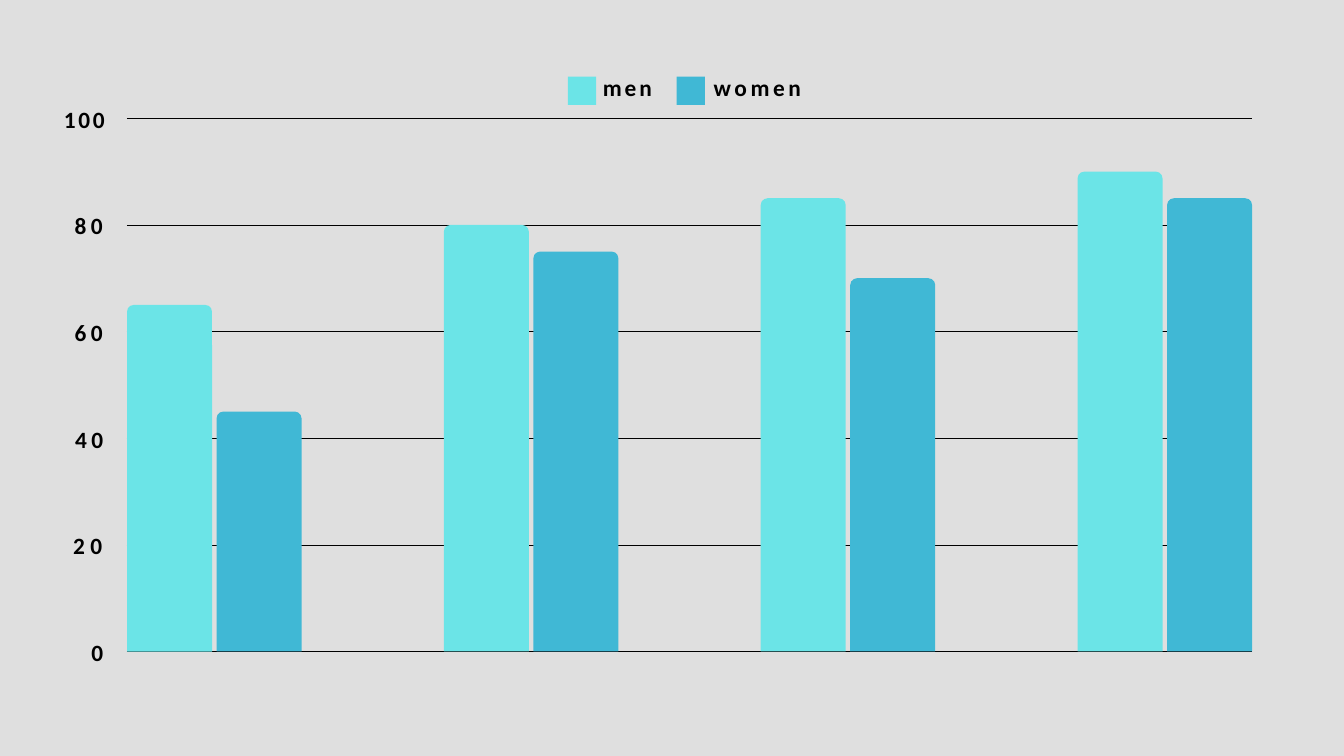
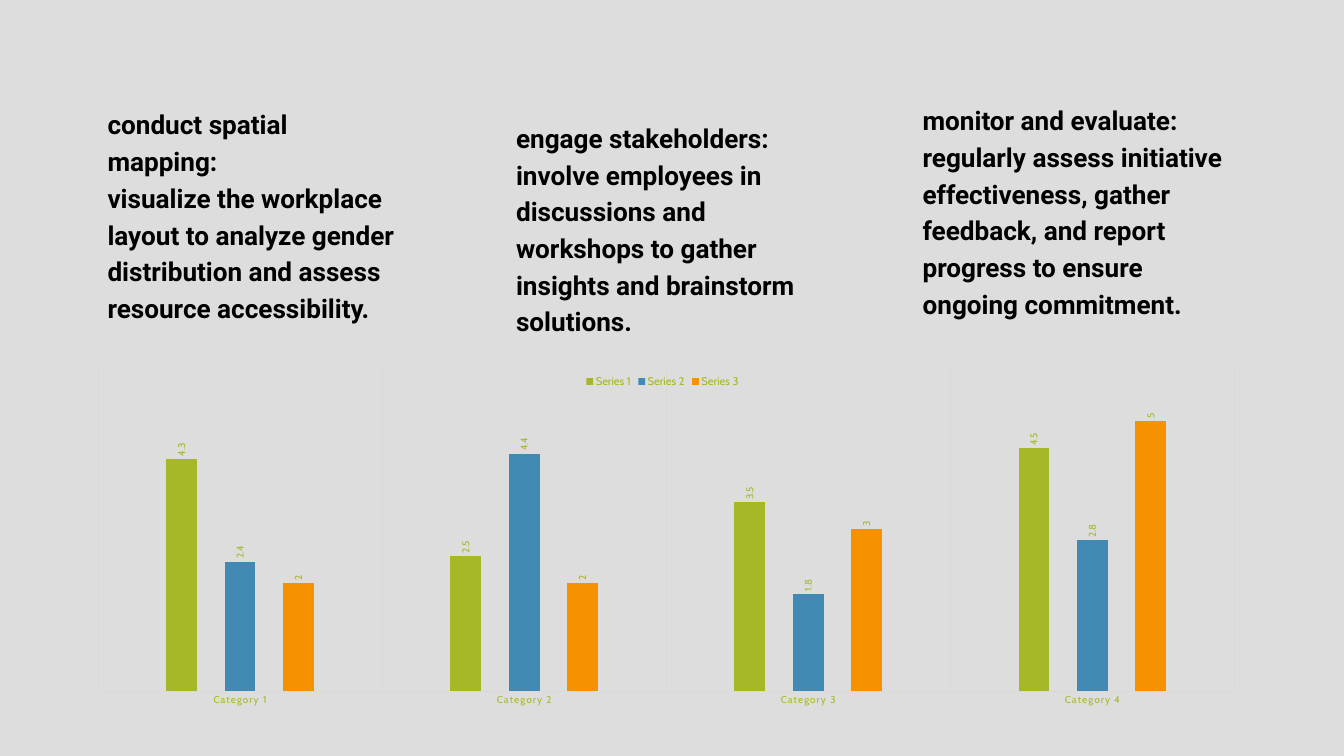
import pptx
import pptx.util
import pptx.dml.color
import pptx.chart.data
import pptx.enum.chart
import pptx.enum.shapes
import pptx.enum.text
import pptx.oxml
import pptx.oxml.ns

COLOURS = {
    "page": "DDDDDD", "panel": "DFDFDF", "ink": "000000",
    "men": "6BE4E7", "women": "40B8D5", "grid": "D9D9D9",
    "Series 1": "A6B727", "Series 2": "418AB3", "Series 3": "F69200",
}
RGB = {name: pptx.dml.color.RGBColor.from_string(code) for name, code in COLOURS.items()}
SHAPES = pptx.enum.shapes.MSO_SHAPE

# Shared text formats
LABEL = {"name": "Calibri", "size": pptx.util.Pt(25), "bold": True}
BODY = {"name": "Roboto", "size": pptx.util.Pt(28), "bold": True}
CHART = {"name": "Cabin", "size": pptx.util.Pt(10.6), "bold": False}

# Both slides sit on a grid of 80 columns by 45 rows of square cells
deck = pptx.Presentation()
deck.slide_width = pptx.util.Inches(20)
deck.slide_height = pptx.util.Inches(11.25)
CELL = deck.slide_width / 80


def add_block(page, kind, colour, *cells):
    block = page.shapes.add_shape(kind, *[round(cell * CELL) for cell in cells])
    block.shadow.inherit = False
    block.fill.solid()
    block.fill.fore_color.rgb = RGB[colour]
    block.line.fill.background()
    return block


def add_text(page, cells, lines, style, inset, spacing=0.0, line_spacing=1.0):
    box = page.shapes.add_textbox(*[round(cell * CELL) for cell in cells])
    frame = box.text_frame
    frame.word_wrap = True
    frame.auto_size = pptx.enum.text.MSO_AUTO_SIZE.SHAPE_TO_FIT_TEXT
    frame.margin_right = frame.margin_bottom = 0
    frame.margin_left = pptx.util.Inches(0.01)
    frame.margin_top = pptx.util.Inches(inset)
    for number, line in enumerate(lines):
        para = frame.add_paragraph() if number else frame.paragraphs[0]
        para.line_spacing = line_spacing
        span = para.add_run()
        span.text = line
        for key, value in style.items():
            setattr(span.font, key, value)
        span.font.color.rgb = RGB["ink"]
        if spacing:
            span._r.get_or_add_rPr().set("spc", str(round(spacing * 100)))
    return box


pages = []
for _ in range(2):
    page = deck.slides.add_slide(deck.slide_layouts[6])
    page.background.fill.solid()
    page.background.fill.fore_color.rgb = RGB["page"]
    pages.append(page)
bars_page, steps_page = pages

# Slide 1: panel and legend
add_block(bars_page, SHAPES.RECTANGLE, "panel", 0, 0, 80, 45)
for name, swatch_left, text_left, width, spacing in [
    ("men", 33.8, 35.84, 3.28, 3.2),
    ("women", 40.28, 42.44, 5.6, 3.9),
]:
    add_block(bars_page, SHAPES.RECTANGLE, name, swatch_left, 4.56, 1.68, 1.68)
    add_text(bars_page, (text_left, 4.28, width, 1.8), [name], LABEL, 0.02, spacing)

# Slide 1: scale labels and grid lines
PLOT_LEFT, PLOT_RIGHT, PLOT_BOTTOM = 7.56, 74.52, 38.78
PLOT_HEIGHT, SCALE_RIGHT = 31.74, 6.52
for value, width, spacing in [
    (0, 1.12, 5.3), (20, 2.2, 5.8), (40, 2.08, 4.7),
    (60, 2.12, 5), (80, 2.12, 5), (100, 2.76, 2.9),
]:
    level = PLOT_BOTTOM - PLOT_HEIGHT * value / 100
    add_text(bars_page, (SCALE_RIGHT - width, level - 0.88, width, 1.8),
             [str(value)], LABEL, 0.02, spacing)
    rule = bars_page.shapes.add_connector(
        pptx.enum.shapes.MSO_CONNECTOR.STRAIGHT,
        *[round(cell * CELL) for cell in (PLOT_LEFT, level, PLOT_RIGHT, level)])
    rule.line.color.rgb = RGB["ink"]
    rule.line.width = pptx.util.Pt(0.71)
    rule._element.spPr.append(pptx.oxml.parse_xml(
        "<a:effectLst %s/>" % pptx.oxml.ns.nsdecls("a")))

# Slide 1: paired bars with rounded tops
BAR_WIDTH, BAR_STEP, GROUP_STEP = 5.06, 5.33, 18.86
for group, pair in enumerate([(65, 45), (80, 75), (85, 70), (90, 85)]):
    for place, (name, value) in enumerate(zip(("men", "women"), pair)):
        height = PLOT_HEIGHT * value / 100
        bar = add_block(bars_page, SHAPES.ROUND_2_SAME_RECTANGLE, name,
                        PLOT_LEFT + group * GROUP_STEP + place * BAR_STEP,
                        PLOT_BOTTOM - height, BAR_WIDTH, height)
        bar.adjustments[0] = 0.08

# Slide 2: three steps, each with its right margin in inches
STEPS = [
    ((6.36, 6.12, 19.24, 13.16), 0.48, [
        "conduct spatial mapping:",
        "visualize the workplace layout to analyze gender distribution "
        "and assess resource accessibility."]),
    ((30.68, 6.92, 19.08, 13.16), 0, [
        "engage stakeholders: involve employees in discussions and "
        "workshops to gather insights and brainstorm solutions."]),
    ((54.88, 5.88, 18.64, 13.16), 0, [
        "monitor and evaluate: regularly assess initiative effectiveness, "
        "gather feedback, and report progress to ensure ongoing commitment."]),
]
for cells, right_margin, lines in STEPS:
    box = add_text(steps_page, cells, lines, BODY, 0.01, line_spacing=1.17)
    box.text_frame.margin_right = pptx.util.Inches(right_margin)

# Slide 2: column chart
CHART_LEFT, CHART_TOP, CHART_WIDTH, CHART_HEIGHT = 5, 21.84, 68.88, 23.16
data = pptx.chart.data.CategoryChartData()
data.categories = ["Category %d" % number for number in range(1, 5)]
data.add_series("Series 1", (4.3, 2.5, 3.5, 4.5))
data.add_series("Series 2", (2.4, 4.4, 1.8, 2.8))
data.add_series("Series 3", (2, 2, 3, 5))
chart = steps_page.shapes.add_chart(
    pptx.enum.chart.XL_CHART_TYPE.COLUMN_CLUSTERED,
    *[round(cell * CELL) for cell in (CHART_LEFT, CHART_TOP, CHART_WIDTH, CHART_HEIGHT)],
    data).chart
chart.has_title = False
chart.has_legend = True
chart.legend.position = pptx.enum.chart.XL_LEGEND_POSITION.TOP
chart.legend.include_in_layout = False

plot = chart.plots[0]
plot.vary_by_categories = False
plot.gap_width = 444
plot.overlap = -90
fonts = [chart.font, chart.legend.font, chart.category_axis.tick_labels.font]
for series in plot.series:
    series.format.fill.solid()
    series.format.fill.fore_color.rgb = RGB[series.name]
    series.invert_if_negative = False
    labels = series.data_labels
    labels.show_value = True
    labels.position = pptx.enum.chart.XL_LABEL_POSITION.OUTSIDE_END
    fonts.append(labels.font)
    for body in labels._element.xpath(".//a:bodyPr"):
        body.set("rot", "-5400000")
        body.set("vert", "horz")
for font in fonts:
    for key, value in CHART.items():
        setattr(font, key, value)
    font.color.rgb = RGB["Series 1"]
chart.legend.font.size = pptx.util.Pt(12)

# Slide 2: axes and plot area
value_axis = chart.value_axis
value_axis.minimum_scale = 0
value_axis.maximum_scale = 6
value_axis.has_major_gridlines = False
value_axis.visible = False
category_axis = chart.category_axis
category_axis.major_tick_mark = pptx.enum.chart.XL_TICK_MARK.NONE
category_axis.has_major_gridlines = True
for line in (category_axis.format.line, category_axis.major_gridlines.format.line):
    line.color.rgb = RGB["grid"]
    line.width = pptx.util.Pt(0.75)
for run_format in category_axis._element.xpath(".//a:defRPr"):
    run_format.set("spc", "120")

area = chart._chartSpace.chart.plotArea
for layout in area.xpath("./c:layout"):
    area.remove(layout)
settings = [("layoutTarget", "inner"), ("xMode", "edge"), ("yMode", "edge"),
            ("x", 0.84 / CHART_WIDTH), ("y", 0),
            ("w", 67.64 / CHART_WIDTH), ("h", 19.3 / CHART_HEIGHT)]
area.insert(0, pptx.oxml.parse_xml(
    "<c:layout %s><c:manualLayout>%s</c:manualLayout></c:layout>" % (
        pptx.oxml.ns.nsdecls("c"),
        "".join('<c:%s val="%s"/>' % setting for setting in settings))))

deck.save("out.pptx")
